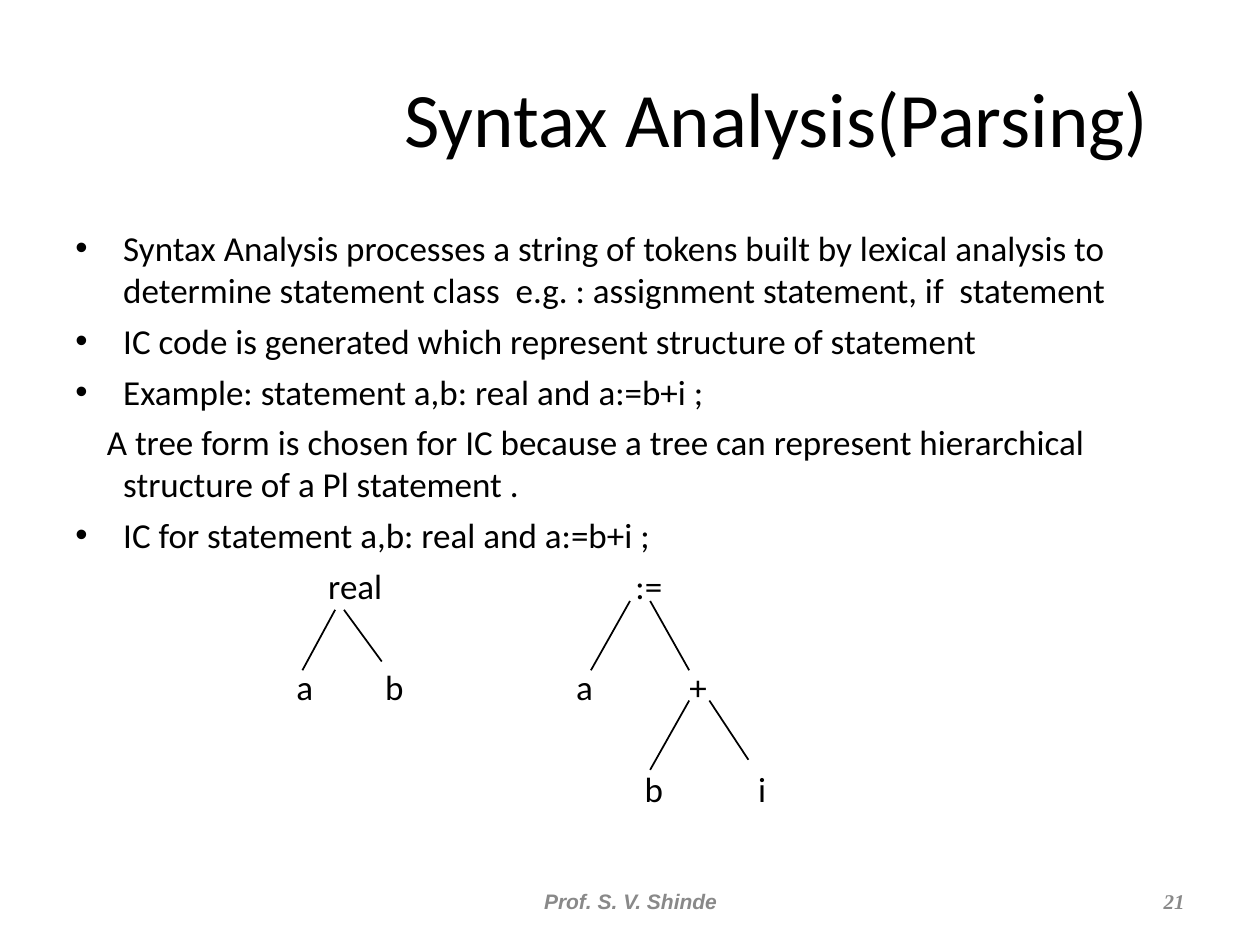
from lxml import etree
from pptx import Presentation
from pptx.dml.color import RGBColor
from pptx.enum import shapes, text
from pptx.oxml import ns
from pptx.util import Inches, Pt

COLORS = {"ink": "000000", "muted": "898989"}
INDENT = 0.38
BULLETED = {"first": -INDENT, "bullet": True}
CONTINUED = {"first": -0.13}
NODE_WIDTH, NODE_HEIGHT = 0.64, 0.44

BODY = [
    ("Syntax Analysis processes a string of tokens built by lexical analysis to "
     "determine statement class  e.g. : assignment statement, if  statement",
     {**BULLETED, "before": 0}),
    ("IC code is generated which represent structure of statement", BULLETED),
    ("Example: statement a,b: real and a:=b+i ;", BULLETED),
    ("A tree form is chosen for IC because a tree can represent hierarchical "
     "structure of a Pl statement .", CONTINUED),
    ("IC for statement a,b: real and a:=b+i ;", BULLETED),
]

TREE_ROWS = [
    (4.65, [("real", 2.82), (":=", 5.15)]),
    (5.45, [("a", 2.42), ("b", 3.13), ("a", 4.64), ("+", 5.54)]),
    (6.26, [("b", 5.19), ("i", 6.05)]),
]

BRANCHES = [
    ((2.66, 4.84), (2.4, 5.32)),
    ((2.73, 4.84), (3.03, 5.25)),
    ((5, 4.77), (4.69, 5.32)),
    ((5.16, 4.77), (5.47, 5.32)),
    ((5.47, 5.56), (5.16, 6.11)),
    ((5.63, 5.56), (5.94, 6.03)),
]


class SlideBuilder:
    """Holds the style and the current slide, and adds each kind of element."""

    def __init__(self, presentation):
        self.font = "Calibri"
        self.slide = presentation.slides.add_slide(presentation.slide_layouts[6])

    def box(self, left, top, width, height, anchor=text.MSO_ANCHOR.MIDDLE):
        shape = self.slide.shapes.add_textbox(
            Inches(left), Inches(top), Inches(width), Inches(height))
        frame = shape.text_frame
        frame.word_wrap = True
        frame.vertical_anchor = anchor
        return frame

    def run(self, paragraph, words, size, color="ink", font=None, strong=False):
        run = paragraph.add_run()
        run.text = words
        run.font.size = Pt(size)
        run.font.name = font or self.font
        run.font.color.rgb = RGBColor.from_string(COLORS[color])
        if strong:
            run.font.bold = run.font.italic = True

    def label(self, place, words, size, align=text.PP_ALIGN.CENTER, **style):
        paragraph = self.box(*place).paragraphs[0]
        paragraph.alignment = align
        self.run(paragraph, words, size, **style)

    def node(self, words, center, middle):
        place = (center - NODE_WIDTH / 2, middle - NODE_HEIGHT / 2, NODE_WIDTH, NODE_HEIGHT)
        self.label(place, words, 20)

    def layout(self, paragraph, first, before=5, bullet=False):
        paragraph.space_before = Pt(before)
        properties = paragraph._p.get_or_add_pPr()
        properties.set("marL", str(Inches(INDENT)))
        properties.set("indent", str(Inches(first)))
        if bullet:
            etree.SubElement(properties, ns.qn("a:buFont"), typeface="Arial")
            etree.SubElement(properties, ns.qn("a:buChar"), char="•")

    def body(self, place, items, size):
        frame = self.box(*place, anchor=text.MSO_ANCHOR.TOP)
        for index, (words, layout) in enumerate(items):
            paragraph = frame.add_paragraph() if index else frame.paragraphs[0]
            self.layout(paragraph, **layout)
            self.run(paragraph, words, size)

    def branch(self, start, end):
        line = self.slide.shapes.add_connector(
            shapes.MSO_CONNECTOR.STRAIGHT, *map(Inches, start + end))
        line.line.color.rgb = RGBColor.from_string(COLORS["ink"])
        line.line.width = Pt(1)
        etree.SubElement(line._element.spPr, ns.qn("a:effectLst"))


def main():
    presentation = Presentation()
    presentation.slide_width, presentation.slide_height = Inches(10), Inches(7.5)
    builder = SlideBuilder(presentation)
    builder.label((2.83, 0.3, 6.67, 1.25), "Syntax Analysis(Parsing)", 44)
    builder.body((0.5, 1.75, 9, 2.7), BODY, 20)
    for middle, nodes in TREE_ROWS:
        for words, center in nodes:
            builder.node(words, center, middle)
    for start, end in BRANCHES:
        builder.branch(start, end)
    footer = {"color": "muted", "strong": True}
    builder.label((3.42, 6.95, 3.17, 0.4), "Prof. S. V. Shinde", 12, font="Arial", **footer)
    builder.label((7.17, 6.95, 2.33, 0.4), "21", 12, text.PP_ALIGN.RIGHT,
                  font="Times New Roman", **footer)
    presentation.save("out.pptx")


if __name__ == "__main__":
    main()
